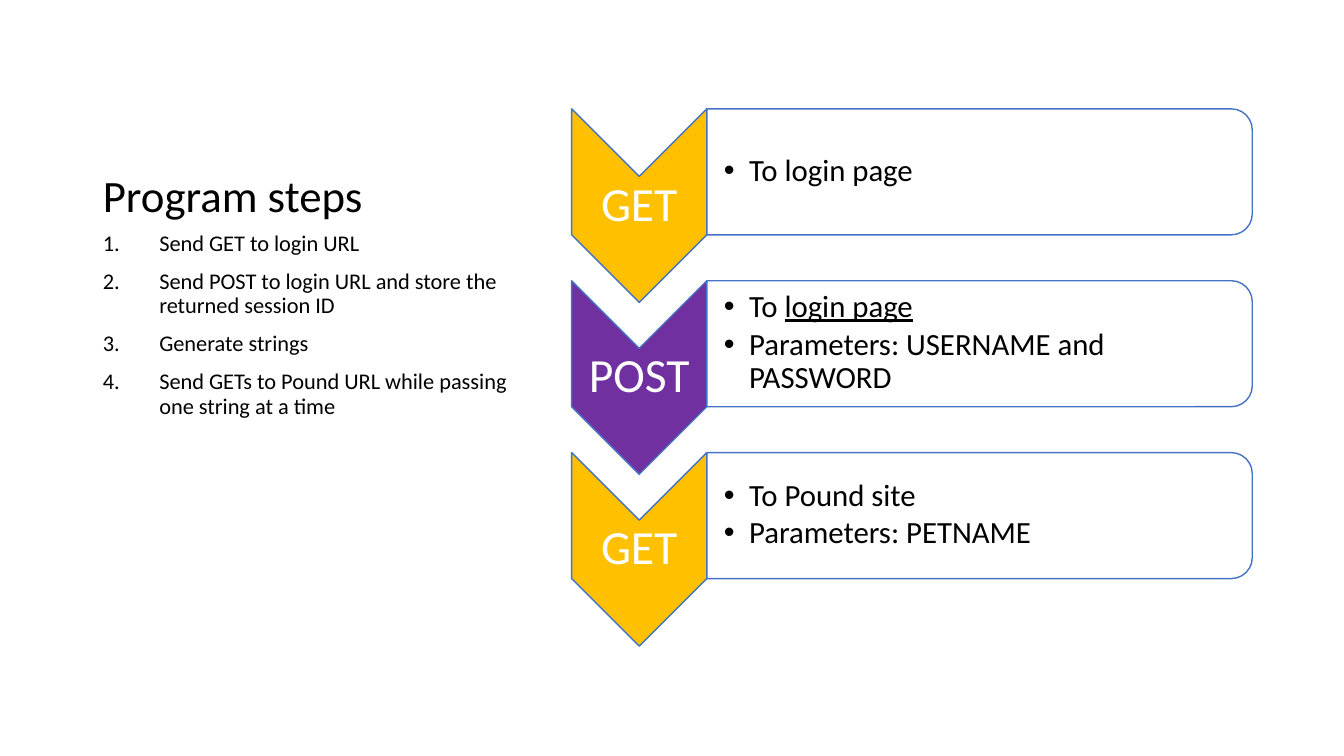
"""Build the slide of program steps with its chain of GET and POST requests."""
from dataclasses import dataclass

from lxml import etree
from pptx import Presentation
from pptx.dml.color import RGBColor
from pptx.enum.shapes import MSO_SHAPE
from pptx.enum.text import MSO_ANCHOR, MSO_AUTO_SIZE, PP_ALIGN
from pptx.oxml.ns import qn
from pptx.util import Inches, Pt

CHEVRON = MSO_SHAPE.CHEVRON
ROUNDED = MSO_SHAPE.ROUND_2_SAME_RECTANGLE
TOP, MIDDLE, BOTTOM = MSO_ANCHOR.TOP, MSO_ANCHOR.MIDDLE, MSO_ANCHOR.BOTTOM
LEFT, CENTER = PP_ALIGN.LEFT, PP_ALIGN.CENTER
NO_AUTOFIT = MSO_AUTO_SIZE.NONE

FONT = "Calibri"
COLORS = {"text": "000000", "white": "FFFFFF", "outline": "4472C4",
          "get": "FFC000", "post": "7030A0"}

COLUMN_LEFT, COLUMN_WIDTH = 0.92, 4.3
CHAIN_LEFT, CHAIN_TOP, CHAIN_PITCH = 5.67, 1.08, 1.705
CHEVRON_WIDTH, CHEVRON_HEIGHT = 1.34, 1.92
PANEL_WIDTH, PANEL_HEIGHT = 5.41, 1.25
LABEL_HEIGHT, SMALL_INSET = 0.57, 0.02


@dataclass(frozen=True)
class Area:
    """Visible rectangle in inches."""
    left: float
    top: float
    width: float
    height: float


@dataclass(frozen=True)
class Span:
    """Piece of text that may be underlined."""
    text: str
    underline: bool = False


@dataclass(frozen=True)
class Request:
    """Link of the chain: a method and its bullet lines."""
    method: str
    color: str
    lines: tuple[tuple[Span, ...], ...]


PROGRAM_STEPS = (
    "Send GET to login URL",
    "Send POST to login URL and store the returned session ID",
    "Generate strings",
    "Send GETs to Pound URL while passing one string at a time",
)
REQUESTS = (
    Request("GET", "get", ((Span("To login page"),),)),
    Request("POST", "post", ((Span("To "), Span("login page", True)),
                             (Span("Parameters: USERNAME and PASSWORD"),))),
    Request("GET", "get", ((Span("To Pound site"),),
                           (Span("Parameters: PETNAME"),))),
)


def add_text(para, text: str, *, size: float, color: str = "text",
             underline: bool = False) -> None:
    """Append one formatted run to a paragraph."""
    run = para.add_run()
    run.text = text
    run.font.name = FONT
    run.font.size = Pt(size)
    run.font.color.rgb = RGBColor.from_string(COLORS[color])
    if underline:
        run.font.underline = True


def next_paragraph(frame, index: int, *, align=LEFT, before: float = 0,
                   after: float = 0):
    """Return the paragraph at the end of a frame, spaced and aligned."""
    para = frame.add_paragraph() if index else frame.paragraphs[0]
    para.alignment = align
    para.line_spacing = 0.9
    para.space_before, para.space_after = Pt(before), Pt(after)
    return para


def set_marker(para, tag: str, indent: float, **attributes: str) -> None:
    """Give a paragraph a hanging bullet or number."""
    properties = para._p.get_or_add_pPr()
    properties.set("marL", str(Inches(indent)))
    properties.set("indent", str(-Inches(indent)))
    etree.SubElement(properties, qn("a:buFont"), typeface="Arial" if tag == "a:buChar" else FONT)
    etree.SubElement(properties, qn(tag), **attributes)


def place(shape, area: Area) -> None:
    """Move and size a shape to an area."""
    shape.left, shape.top = Inches(area.left), Inches(area.top)
    shape.width, shape.height = Inches(area.width), Inches(area.height)


def prepare_placeholder(shape, area: Area, anchor):
    """Place a placeholder and return its text frame."""
    place(shape, area)
    frame = shape.text_frame
    frame.auto_size = NO_AUTOFIT
    frame.word_wrap = True
    frame.vertical_anchor = anchor
    return frame


def add_turned_shape(page, kind, area: Area, color: str, opacity: int = 100) -> None:
    """Draw a preset shape turned a quarter so that it covers an area."""
    shift = (area.width - area.height) / 2
    shape = page.shapes.add_shape(
        kind, Inches(area.left + shift), Inches(area.top - shift),
        Inches(area.height), Inches(area.width))
    shape.rotation = 90
    shape.shadow.inherit = False
    shape.fill.solid()
    shape.fill.fore_color.rgb = RGBColor.from_string(COLORS[color])
    shape.line.color.rgb = RGBColor.from_string(COLORS["outline"])
    shape.line.width = Pt(1)
    if opacity < 100:
        fill_color = shape.fill._xPr.find(qn("a:solidFill"))[0]
        etree.SubElement(fill_color, qn("a:alpha"), val=str(opacity * 1000))


def add_text_box(page, area: Area, left_inset: float = SMALL_INSET):
    """Add a wrapping, vertically centred text box and return its frame."""
    box = page.shapes.add_textbox(0, 0, 0, 0)
    place(box, area)
    frame = box.text_frame
    frame.word_wrap = True
    frame.vertical_anchor = MIDDLE
    frame.margin_left = Inches(left_inset)
    frame.margin_top = frame.margin_right = frame.margin_bottom = Inches(SMALL_INSET)
    return frame


def add_request(page, request: Request, top: float) -> None:
    """Draw one chevron with its label and bullet panel."""
    panel_left = CHAIN_LEFT + CHEVRON_WIDTH
    add_turned_shape(page, CHEVRON, Area(CHAIN_LEFT, top, CHEVRON_WIDTH, CHEVRON_HEIGHT),
                     request.color)
    label_top = top + (CHEVRON_HEIGHT - LABEL_HEIGHT) / 2
    label = add_text_box(page, Area(CHAIN_LEFT, label_top, CHEVRON_WIDTH, LABEL_HEIGHT))
    add_text(next_paragraph(label, 0, align=CENTER), request.method, size=34, color="white")

    add_turned_shape(page, ROUNDED, Area(panel_left, top, PANEL_WIDTH, PANEL_HEIGHT),
                     "white", opacity=90)
    frame = add_text_box(page, Area(panel_left, top + 0.06, 5.35, 1.12), left_inset=0.17)
    for index, line in enumerate(request.lines):
        para = next_paragraph(frame, index, after=3)
        set_marker(para, "a:buChar", 0.25, char="•")
        for span in line:
            add_text(para, span.text, size=22, underline=span.underline)


def main() -> None:
    """Build and save the deck."""
    deck = Presentation()
    deck.slide_width, deck.slide_height = Inches(13.33), Inches(7.5)
    page = deck.slides.add_slide(deck.slide_layouts[1])

    title = prepare_placeholder(page.shapes.title,
                                Area(COLUMN_LEFT, 0.5, COLUMN_WIDTH, 1.75), BOTTOM)
    add_text(next_paragraph(title, 0), "Program steps", size=32)

    for index, request in enumerate(REQUESTS):
        add_request(page, request, CHAIN_TOP + index * CHAIN_PITCH)

    body = prepare_placeholder(page.placeholders[1],
                               Area(COLUMN_LEFT, 2.25, COLUMN_WIDTH, 4.17), TOP)
    for index, step in enumerate(PROGRAM_STEPS):
        para = next_paragraph(body, index, before=10)
        set_marker(para, "a:buAutoNum", 0.56, type="arabicPeriod")
        add_text(para, step, size=16)

    deck.save("out.pptx")


if __name__ == "__main__":
    main()
